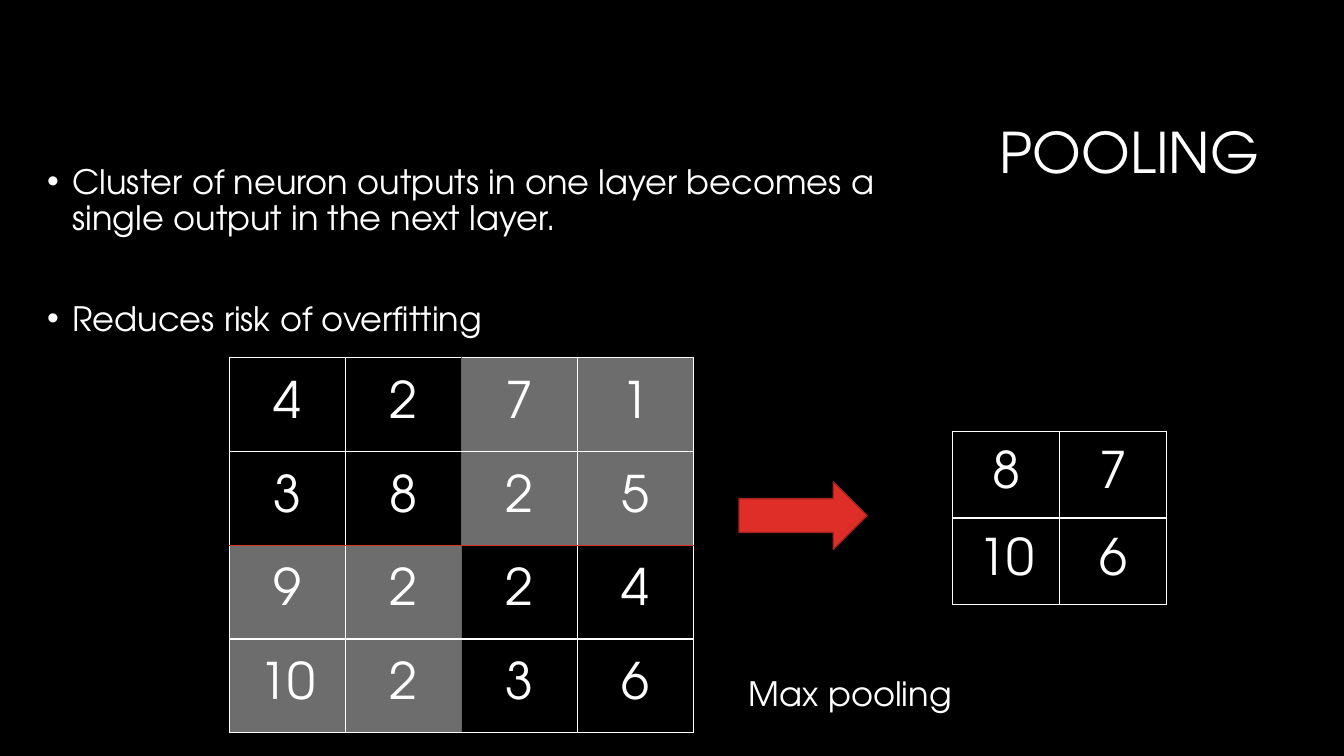
from dataclasses import dataclass

from lxml.etree import SubElement
from pptx import Presentation
from pptx.dml.color import RGBColor
from pptx.enum.shapes import MSO_SHAPE
from pptx.enum.text import MSO_ANCHOR, PP_ALIGN
from pptx.oxml import parse_xml
from pptx.oxml.ns import nsdecls, qn
from pptx.slide import Slide
from pptx.text.text import _Paragraph
from pptx.util import Inches, Pt

FONT = "TeX Gyre Adventor"
BLACK, WHITE, GRAY = "000000", "FFFFFF", "6D6D6D"
RED, DARK_RED = "DF2E28", "A5221E"
POOL = 2  # cells along each side of a pooled block


@dataclass
class TextBlock:
    lines: list[str]
    left: float
    top: float
    width: float
    height: float
    size: int
    formats: dict
    anchor: MSO_ANCHOR = MSO_ANCHOR.TOP
    bulleted: bool = False


@dataclass
class Grid:
    values: list[list[int]]
    left: float
    top: float
    column_width: float
    row_height: float
    pooled: bool = False


TEXTS = [
    TextBlock(["POOLING"], 3.17, 0.84, 9.42, 1.41, 40,
              {"alignment": PP_ALIGN.RIGHT, "line_spacing": 0.9}, MSO_ANCHOR.MIDDLE),
    TextBlock(["Cluster of neuron outputs in one layer becomes a single output in the next layer.",
               "Reduces risk of overfitting"],
              0.37, 1.59, 8.43, 2.7, 24,
              {"line_spacing": 0.9, "space_before": Pt(46)}, bulleted=True),
    TextBlock(["Max pooling"], 7.33, 6.63, 2.29, 0.5, 24, {}),
]
GRIDS = [
    Grid([[4, 2, 7, 1], [3, 8, 2, 5], [9, 2, 2, 4], [10, 2, 3, 6]],
         2.28, 3.55, 1.15, 0.93, pooled=True),
    Grid([[8, 7], [10, 6]], 9.45, 4.28, 1.06, 0.86),
]


def color(value: str) -> RGBColor:
    return RGBColor.from_string(value)


def write(para: _Paragraph, text: str, size: int) -> None:
    span = para.add_run()
    span.text = text
    for name, value in {"name": FONT, "size": Pt(size)}.items():
        setattr(span.font, name, value)
    span.font.color.rgb = color(WHITE)


def add_bullet(para: _Paragraph) -> None:
    properties = para._p.get_or_add_pPr()
    properties.set("marL", str(Inches(0.25)))
    properties.set("indent", str(Inches(-0.25)))
    SubElement(properties, qn("a:buFont")).set("typeface", "Arial")
    SubElement(properties, qn("a:buChar")).set("char", "•")


def add_text(page: Slide, block: TextBlock) -> None:
    box = page.shapes.add_textbox(Inches(block.left), Inches(block.top),
                                  Inches(block.width), Inches(block.height))
    frame = box.text_frame
    frame.word_wrap = True
    frame.vertical_anchor = block.anchor
    for index, line in enumerate(block.lines):
        para = frame.add_paragraph() if index else frame.paragraphs[0]
        if block.bulleted:
            add_bullet(para)
        for name, value in block.formats.items():
            if index or name != "space_before":
                setattr(para, name, value)
        write(para, line, block.size)


def add_borders(cell, colors: dict[str, str]) -> None:
    properties = cell._tc.get_or_add_tcPr()
    for index, (side, value) in enumerate(colors.items()):
        properties.insert(index, parse_xml(
            f'<a:ln{side} {nsdecls("a")} w="{Pt(1)}"><a:solidFill>'
            f'<a:srgbClr val="{value}"/></a:solidFill></a:ln{side}>'))


def add_grid(page: Slide, grid: Grid) -> None:
    rows, columns = len(grid.values), len(grid.values[0])
    table = page.shapes.add_table(
        rows, columns, Inches(grid.left), Inches(grid.top),
        Inches(grid.column_width * columns), Inches(grid.row_height * rows)).table
    table.first_row = table.horz_banding = False
    for column in table.columns:
        column.width = Inches(grid.column_width)
    for row in table.rows:
        row.height = Inches(grid.row_height)

    def edge(position: int) -> str:
        return RED if grid.pooled and position == POOL else WHITE

    for r, values in enumerate(grid.values):
        for c, value in enumerate(values):
            cell = table.cell(r, c)
            cell.vertical_anchor = MSO_ANCHOR.MIDDLE
            if grid.pooled and (r // POOL + c // POOL) % 2:
                cell.fill.solid()
                cell.fill.fore_color.rgb = color(GRAY)
            else:
                cell.fill.background()
            add_borders(cell, {"L": edge(c), "R": edge(c + 1),
                               "T": edge(r), "B": edge(r + 1)})
            para = cell.text_frame.paragraphs[0]
            para.alignment = PP_ALIGN.CENTER
            write(para, str(value), 36)


def add_arrow(page: Slide) -> None:
    arrow = page.shapes.add_shape(MSO_SHAPE.RIGHT_ARROW, Inches(7.33), Inches(4.78),
                                  Inches(1.27), Inches(0.67))
    arrow.shadow.inherit = False
    arrow.fill.solid()
    arrow.fill.fore_color.rgb = color(RED)
    arrow.line.color.rgb = color(DARK_RED)
    arrow.line.width = Pt(1)


def main() -> None:
    deck = Presentation()
    deck.slide_width, deck.slide_height = Inches(13.33), Inches(7.5)
    page = deck.slides.add_slide(deck.slide_layouts[6])
    page.background.fill.solid()
    page.background.fill.fore_color.rgb = color(BLACK)
    for block in TEXTS:
        add_text(page, block)
    for grid in GRIDS:
        add_grid(page, grid)
    add_arrow(page)
    deck.save("out.pptx")


if __name__ == "__main__":
    main()
